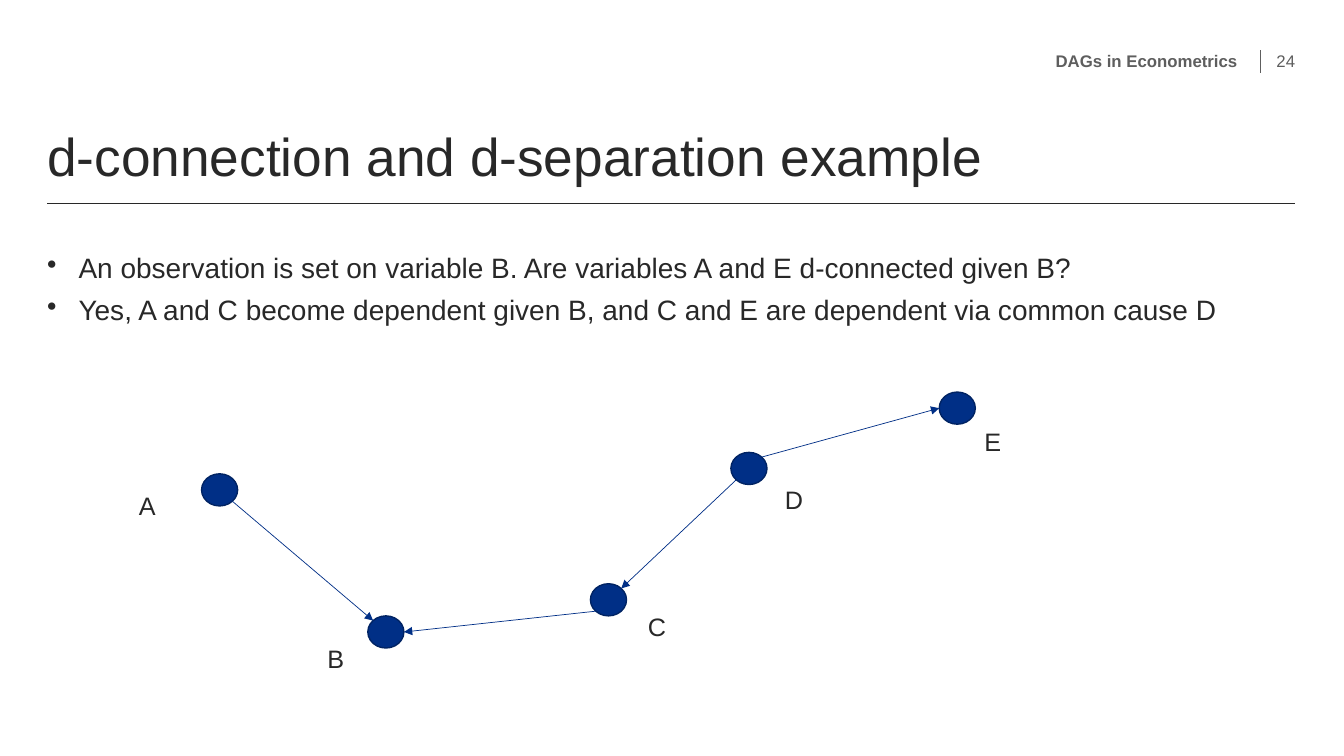
import math

import lxml.etree
import pptx
import pptx.dml.color
import pptx.enum.shapes
import pptx.enum.text
import pptx.oxml.ns
import pptx.util

Cm = pptx.util.Cm
Pt = pptx.util.Pt
ALIGN = pptx.enum.text.PP_ALIGN
ANCHOR = pptx.enum.text.MSO_ANCHOR

COLORS = {"text": "282828", "muted": "5E5E5E", "node": "002F86", "outline": "002363"}
MARGIN, CONTENT_WIDTH = 1.19, 31.45
NODE_WIDTH, NODE_HEIGHT = 0.91, 0.81
LABEL_SIZE = 1.02

NODES = {
    "A": (5.08, 11.94, 3.25, 12.24),
    "B": (9.27, 15.52, 8.0, 16.08),
    "C": (14.88, 14.71, 16.08, 15.29),
    "D": (18.42, 11.4, 19.53, 12.07),
    "E": (23.67, 9.88, 24.56, 10.62),
}
EDGES = [("A", 45, "B", 225), ("C", 135, "B", 0), ("D", 315, "E", 180), ("D", 135, "C", 315)]
BULLETS = [
    "An observation is set on variable B. Are variables A and E d-connected given B?",
    "Yes, A and C become dependent given B, and C and E are dependent via common cause D",
]


def color(name):
    return pptx.dml.color.RGBColor.from_string(COLORS[name])


def write(box, *lines, size=18, ink="text", bold=False, align=ALIGN.LEFT,
          anchor=ANCHOR.TOP, inset=0, spacing=1.0, before=0, indent=0):
    frame = box.text_frame
    frame.word_wrap = True
    frame.auto_size = pptx.enum.text.MSO_AUTO_SIZE.NONE
    frame.vertical_anchor = anchor
    frame.margin_left = frame.margin_right = Cm(inset)
    frame.margin_top = frame.margin_bottom = Cm(inset / 2)
    for index, line in enumerate(lines):
        para = frame.add_paragraph() if index else frame.paragraphs[0]
        para.alignment = align
        para.line_spacing = spacing
        para.space_before = Pt(before)
        span = para.add_run()
        span.text = line
        span.font.name = "Arial"
        span.font.size = Pt(size)
        span.font.bold = bold
        span.font.color.rgb = color(ink)
        if indent:
            props = para._p.get_or_add_pPr()
            props.set("marL", str(Cm(indent)))
            props.set("indent", str(-Cm(indent)))
            bullet = lxml.etree.SubElement(props, pptx.oxml.ns.qn("a:buChar"))
            bullet.set("char", "•")


def add_text(page, left, top, width, height, *lines, **style):
    box = page.shapes.add_textbox(Cm(left), Cm(top), Cm(width), Cm(height))
    write(box, *lines, **style)


def add_line(page, start, end, ink, weight, arrow=False):
    line = page.shapes.add_connector(
        pptx.enum.shapes.MSO_CONNECTOR.STRAIGHT, *map(Cm, start), *map(Cm, end))
    line.line.color.rgb = color(ink)
    line.line.width = Pt(weight)
    if arrow:
        head = lxml.etree.SubElement(line.line._get_or_add_ln(), pptx.oxml.ns.qn("a:tailEnd"))
        head.set("type", "triangle")
    lxml.etree.SubElement(line._element.spPr, pptx.oxml.ns.qn("a:effectLst"))


def add_header(page, left, top, width, height):
    right = left + width
    divider = right - 0.87
    add_line(page, (divider, top + height), (divider, top), "muted", 1)
    style = dict(size=12, ink="muted", align=ALIGN.RIGHT, anchor=ANCHOR.MIDDLE)
    add_text(page, left, top, width - 1.45, height, "DAGs in Econometrics", bold=True, **style)
    add_text(page, right - 0.74, top, 0.74, height, "24", **style)


def add_title(page, left, top, width, height):
    title = page.shapes.title
    title.left, title.top, title.width, title.height = map(Cm, (left, top, width, height))
    write(title, "d-connection and d-separation example",
          size=38, anchor=ANCHOR.BOTTOM, spacing=0.9)
    rule = top + height + 0.4
    add_line(page, (left, rule), (left + width, rule), "text", 1)


def add_bullets(page, left, top, width, height):
    add_text(page, left, top, width, height, *BULLETS, size=20, before=6, indent=0.79)


def rim_point(name, degrees):
    left, top = NODES[name][:2]
    angle = math.radians(degrees)
    return (left + NODE_WIDTH / 2 * (1 + math.cos(angle)),
            top + NODE_HEIGHT / 2 * (1 + math.sin(angle)))


def add_graph(page, left, top):
    def shift(point):
        return left + point[0], top + point[1]

    for name, (node_left, node_top, label_left, label_top) in NODES.items():
        node = page.shapes.add_shape(
            pptx.enum.shapes.MSO_SHAPE.OVAL, *map(Cm, shift((node_left, node_top))),
            Cm(NODE_WIDTH), Cm(NODE_HEIGHT))
        node.shadow.inherit = False
        node.fill.solid()
        node.fill.fore_color.rgb = color("node")
        node.line.color.rgb = color("outline")
        node.line.width = Pt(1)
        add_text(page, *shift((label_left, label_top)), LABEL_SIZE, LABEL_SIZE, name, inset=0.25)
    for source, leave, target, enter in EDGES:
        add_line(page, shift(rim_point(source, leave)), shift(rim_point(target, enter)),
                 "node", 0.5, arrow=True)


def main():
    deck = pptx.Presentation()
    deck.slide_width, deck.slide_height = Cm(33.87), Cm(19.05)
    page = deck.slides.add_slide(deck.slide_layouts[5])
    add_header(page, MARGIN, 1.25, CONTENT_WIDTH, 0.58)
    add_title(page, MARGIN, 3.18, CONTENT_WIDTH, 1.55)
    add_bullets(page, MARGIN, 6.32, CONTENT_WIDTH, 11.51)
    add_graph(page, 0, 0)
    deck.save("out.pptx")


if __name__ == "__main__":
    main()
